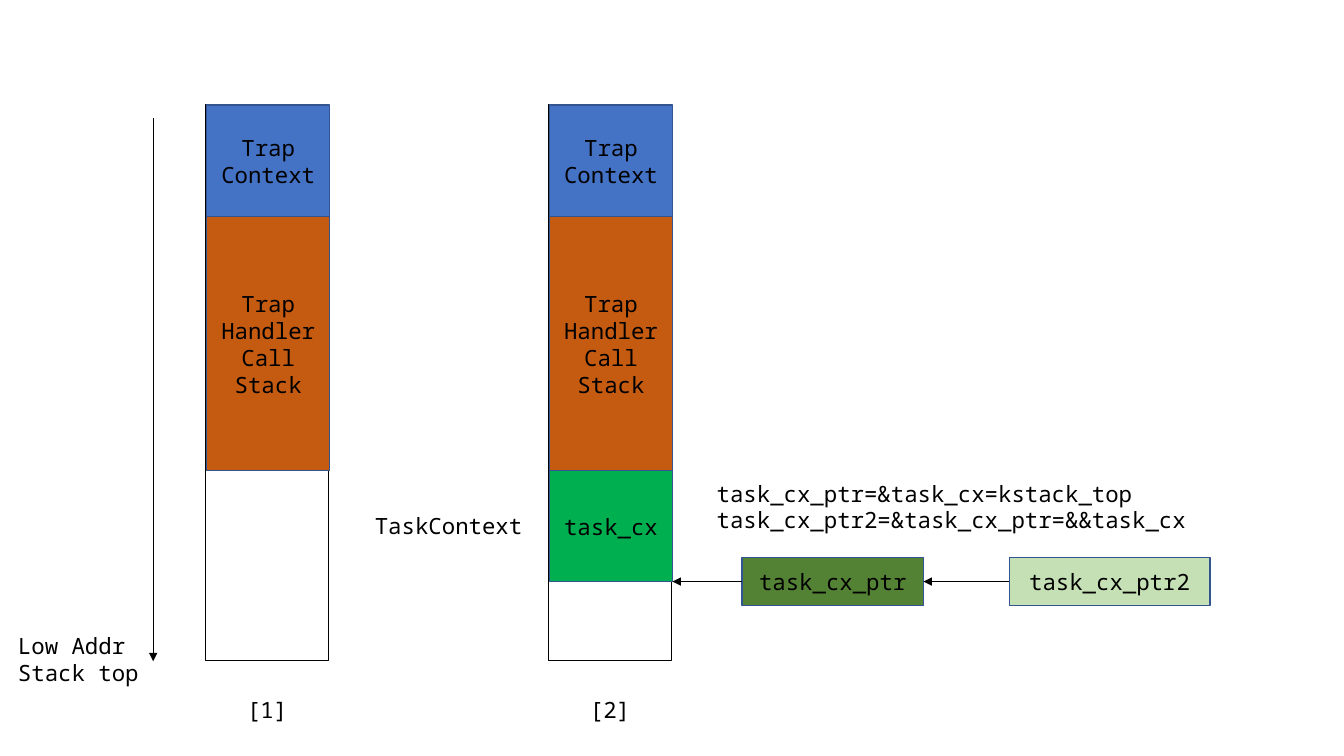
from lxml import etree
from pptx import Presentation
from pptx import util as u
from pptx.dml.color import RGBColor
from pptx.enum import shapes, text
from pptx.oxml import ns

COLOURS = {
    "ink": "000000", "paper": "FFFFFF", "border": "325491", "trap": "4472C4",
    "handler": "C55A11", "task": "00B050", "ptr": "548235", "ptr2": "C5E0B4",
}
FONT = {"name": "Noto Sans Mono", "size": u.Pt(16)}

# Stack blocks from high to low address: lines, fill, height
TRAP_BLOCKS = [
    (["Trap", "Context"], "trap", 1.11),
    (["Trap", "Handler", "Call", "Stack"], "handler", 2.52),
]
TASK_BLOCK = (["task_cx"], "task", 1.1)
# Stacks: caption, left, blocks
STACKS = [
    ("[1]", 2.04, TRAP_BLOCKS),
    ("[2]", 5.44, TRAP_BLOCKS + [TASK_BLOCK]),
]
STACK_TOP, STACK_WIDTH, STACK_HEIGHT = 1.04, 1.22, 5.51
CAPTION_TOP = 6.86

# Pointers: name, fill, left, width
POINTERS = [("task_cx_ptr", "ptr", 7.36, 1.8), ("task_cx_ptr2", "ptr2", 10.01, 1.99)]
POINTER_HEIGHT = 0.48

# Notes: lines, (left, top, width, height)
NOTES = [
    (["Low Addr", "Stack top"], (0.08, 6.22, 1.52, 0.64)),
    (["task_cx_ptr=&task_cx=kstack_top", "task_cx_ptr2=&task_cx_ptr=&&task_cx"],
     (7.01, 4.71, 5.7, 0.64)),
    (["TaskContext"], (3.62, 5.03, 1.8, 0.37)),
]
ADDRESS_ARROW = ((1.52, 1.17), (1.52, 6.56))


def rgb(key):
    """Return the named colour."""
    return RGBColor.from_string(COLOURS[key])


def inches(values):
    """Convert numbers to lengths."""
    return [u.Inches(value) for value in values]


def write(frame, lines, align):
    """Put one paragraph per line into a text frame."""
    frame.word_wrap = True
    frame.text = "\n".join(lines)
    for paragraph in frame.paragraphs:
        paragraph.alignment = align
        for key, value in FONT.items():
            setattr(paragraph.font, key, value)
        paragraph.font.color.rgb = rgb("ink")


def add_block(slide, box, fill, border="border", lines=()):
    """Add a bordered rectangle, with centred text if there is any."""
    block = slide.shapes.add_shape(shapes.MSO_SHAPE.RECTANGLE, *inches(box))
    block.shadow.inherit = False
    block.fill.solid()
    block.fill.fore_color.rgb = rgb(fill)
    block.line.color.rgb = rgb(border)
    block.line.width = u.Pt(1)
    if lines:
        block.text_frame.vertical_anchor = text.MSO_ANCHOR.MIDDLE
        write(block.text_frame, lines, text.PP_ALIGN.CENTER)


def add_note(slide, lines, box, align=text.PP_ALIGN.LEFT):
    """Add a text box that grows with its text."""
    frame = slide.shapes.add_textbox(*inches(box)).text_frame
    write(frame, lines, align)
    frame.auto_size = text.MSO_AUTO_SIZE.SHAPE_TO_FIT_TEXT


def add_arrow(slide, start, end):
    """Add a thin arrow pointing at its end."""
    arrow = slide.shapes.add_connector(
        shapes.MSO_CONNECTOR.STRAIGHT, *inches(start + end))
    arrow.line.color.rgb = rgb("ink")
    arrow.line.width = u.Pt(0.5)
    etree.SubElement(arrow.line._get_or_add_ln(), ns.qn("a:tailEnd"), type="triangle")
    etree.SubElement(arrow._element.spPr, ns.qn("a:effectLst"))


def add_stack(slide, caption, left, blocks):
    """Draw a stack and its caption; return the right end of its lowest block."""
    add_block(slide, (left, STACK_TOP, STACK_WIDTH, STACK_HEIGHT), "paper", "ink")
    top = STACK_TOP
    for lines, fill, height in blocks:
        add_block(slide, (left + 0.01, top, STACK_WIDTH, height), fill, lines=lines)
        top += height
    add_note(slide, [caption], (left, CAPTION_TOP, STACK_WIDTH, 0.37),
             text.PP_ALIGN.CENTER)
    return left + 0.01 + STACK_WIDTH, top


def main():
    """Build the slide."""
    deck = Presentation()
    deck.slide_width, deck.slide_height = inches((13.33, 7.5))
    slide = deck.slides.add_slide(deck.slide_layouts[6])
    for stack in STACKS:
        target, level = add_stack(slide, *stack)
    for name, fill, left, width in POINTERS:
        add_block(slide, (left, level - POINTER_HEIGHT / 2, width, POINTER_HEIGHT),
                  fill, lines=[name])
        add_arrow(slide, (left, level), (target, level))
        target = left + width
    for lines, box in NOTES:
        add_note(slide, lines, box)
    add_arrow(slide, *ADDRESS_ARROW)
    deck.save("out.pptx")


main()
